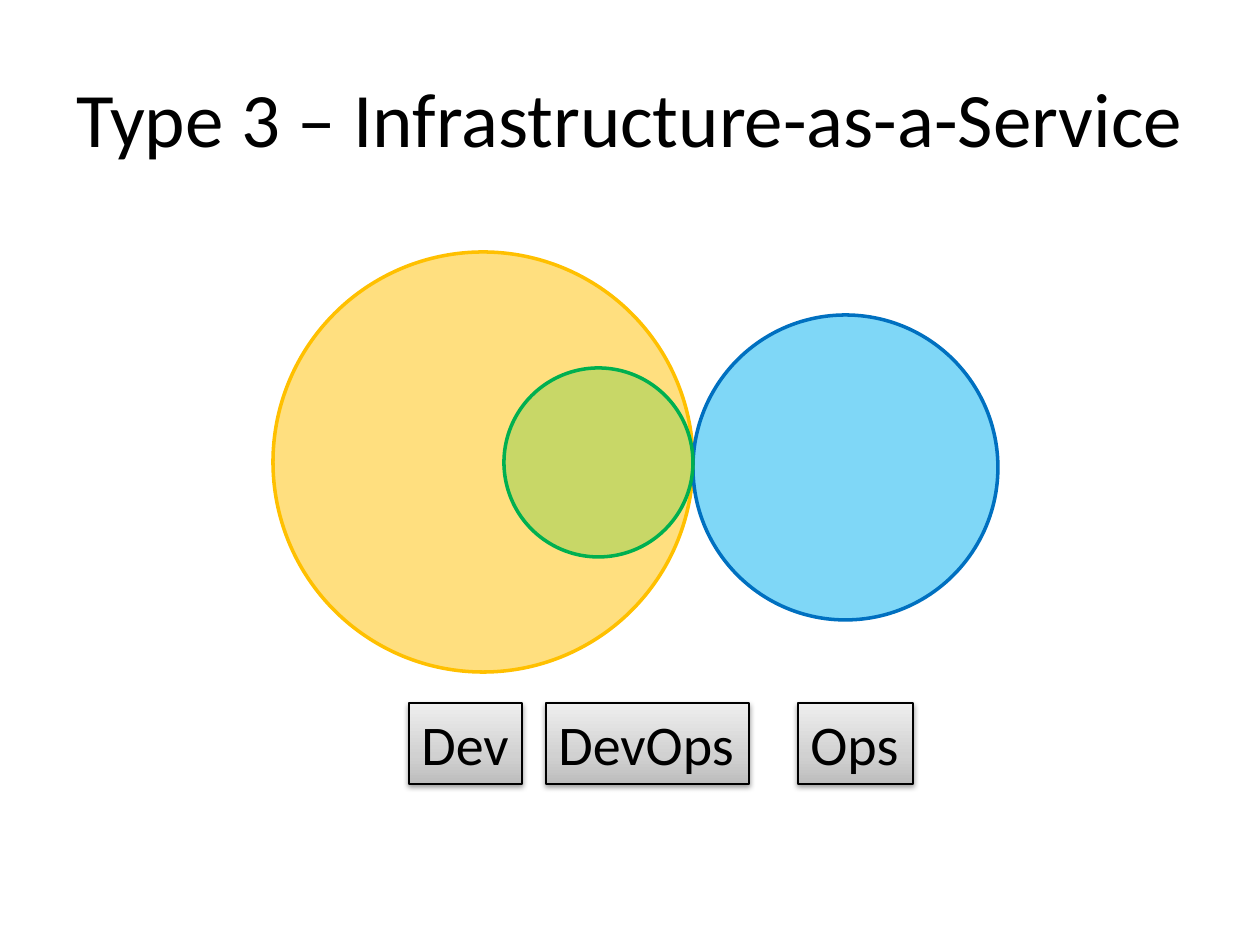
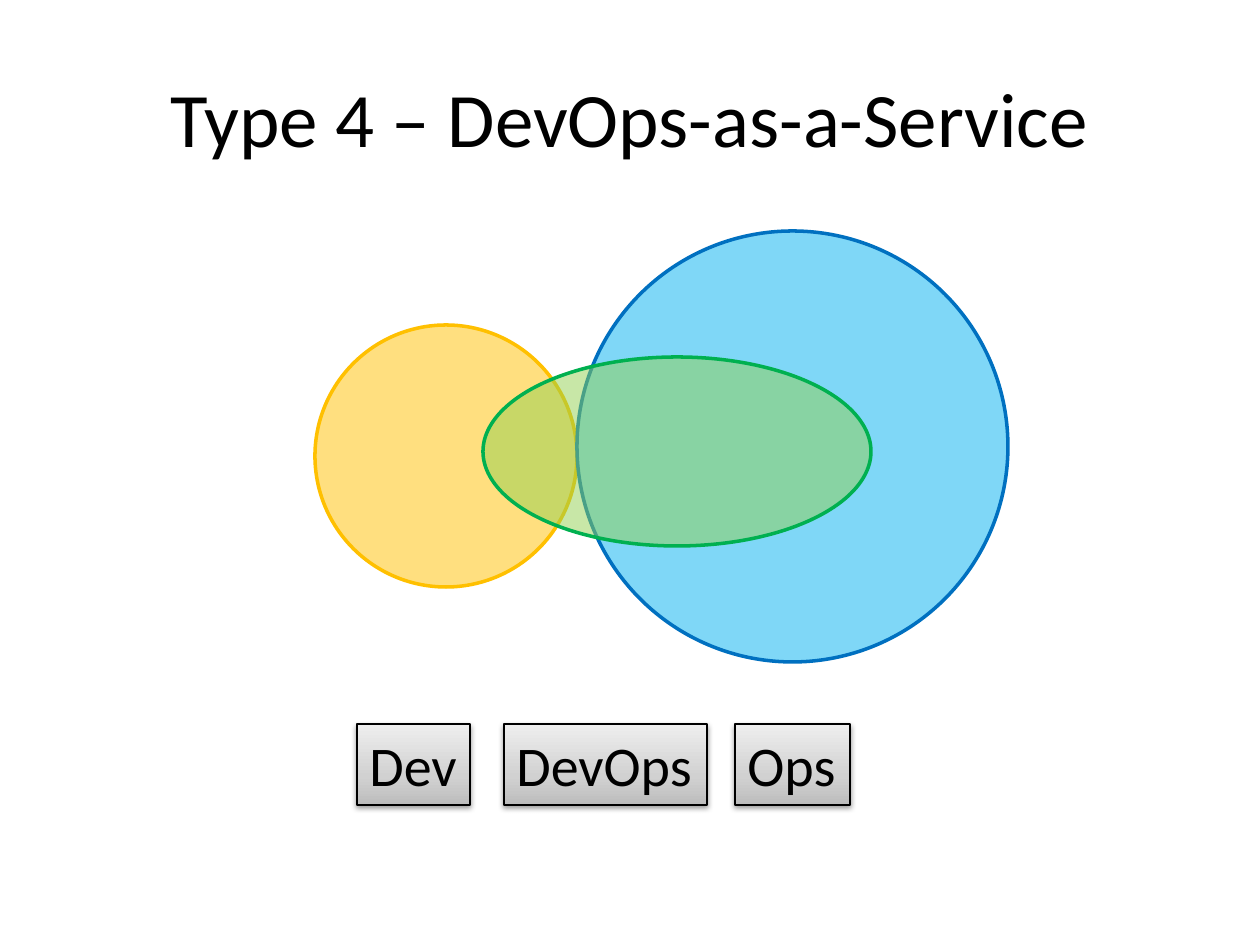
"""Build two slides that show how Dev, Ops and DevOps overlap in two team types."""
from lxml.etree import SubElement
from pptx import Presentation
from pptx.dml.color import RGBColor
from pptx.enum.shapes import MSO_SHAPE as Preset
from pptx.enum.text import MSO_ANCHOR as Anchor, MSO_AUTO_SIZE as AutoSize, PP_ALIGN as Align
from pptx.oxml.ns import qn
from pptx.util import Emu, Pt

SCALE = 914400 / 126
PAGE_SIZE = (1260, 945)
TITLE_AREA = (63, 38, 1134, 158)
LABEL_HEIGHT = 81

BLACK = RGBColor(0x00, 0x00, 0x00)
AMBER = RGBColor(0xFF, 0xC0, 0x00)
SKY = RGBColor(0x00, 0xB0, 0xF0)
BLUE = RGBColor(0x00, 0x70, 0xC0)
LIME = RGBColor(0x92, 0xD0, 0x50)
GREEN = RGBColor(0x00, 0xB0, 0x50)
GREYS = [
    (0, RGBColor(0xBD, 0xBD, 0xBD)),
    (35, RGBColor(0xD1, 0xD1, 0xD1)),
    (100, RGBColor(0xEE, 0xEE, 0xEE)),
]

TEAMS = {
    "Dev": {"fill": AMBER, "line": AMBER, "label_width": 113},
    "Ops": {"fill": SKY, "line": BLUE, "label_width": 115},
    "DevOps": {"fill": LIME, "line": GREEN, "label_width": 203},
}
TITLE_FONT = {"name": "Calibri", "size": Pt(44)}
LABEL_FONT = {"name": "Calibri", "size": Pt(32)}
TITLE_FRAME = {"word_wrap": True, "vertical_anchor": Anchor.MIDDLE}
LABEL_FRAME = {"word_wrap": False, "auto_size": AutoSize.SHAPE_TO_FIT_TEXT}
SHADOW = {"blurRad": "40000", "dist": "20000", "dir": "5400000", "rotWithShape": "0"}

SLIDES = [
    {
        "title": "Type 3 – Infrastructure-as-a-Service",
        "label_top": 703,
        "ovals": {
            "Dev": (273, 252, 420, 420),
            "Ops": (693, 315, 305, 305),
            "DevOps": (504, 368, 189, 189),
        },
        "label_lefts": {"Dev": 409, "Ops": 798, "DevOps": 546},
    },
    {
        "title": "Type 4 – DevOps-as-a-Service",
        "label_top": 724,
        "ovals": {
            "Dev": (315, 325, 262, 262),
            "Ops": (577, 231, 431, 431),
            "DevOps": (483, 357, 388, 189),
        },
        "label_lefts": {"Dev": 357, "Ops": 735, "DevOps": 504},
    },
]


def emu(pixels):
    return [Emu(round(value * SCALE)) for value in pixels]


def set_all(target, values):
    for name, value in values.items():
        setattr(target, name, value)


def add_color(parent, color, alpha=None):
    node = SubElement(parent, qn("a:srgbClr"), val=str(color))
    if alpha is not None:
        SubElement(node, qn("a:alpha"), val=str(alpha * 1000))


def add_text(page, area, text, frame_format, font_format, align):
    box = page.shapes.add_textbox(*emu(area))
    set_all(box.text_frame, frame_format)
    para = box.text_frame.paragraphs[0]
    para.alignment = align
    span = para.add_run()
    span.text = text
    set_all(span.font, font_format)
    span.font.color.rgb = BLACK
    return box


def set_line(shape, color, width):
    shape.line.color.rgb = color
    shape.line.width = Pt(width)


def add_oval(page, area, team):
    oval = page.shapes.add_shape(Preset.OVAL, *emu(area))
    oval.shadow.inherit = False
    oval.fill.solid()
    oval.fill.fore_color.rgb = team["fill"]
    color = oval.element.spPr.find(qn("a:solidFill")).find(qn("a:srgbClr"))
    SubElement(color, qn("a:alpha"), val="50000")
    set_line(oval, team["line"], 2)


def add_label(page, area, text):
    label = add_text(page, area, text, LABEL_FRAME, LABEL_FONT, Align.LEFT)
    label.fill.gradient()
    label.fill.gradient_angle = 90
    set_line(label, BLACK, 0.75)
    label.shadow.inherit = False
    properties = label.element.spPr
    stops = properties.find(qn("a:gradFill")).find(qn("a:gsLst"))
    for stop in list(stops):
        stops.remove(stop)
    for position, color in GREYS:
        add_color(SubElement(stops, qn("a:gs"), pos=str(position * 1000)), color)
    effects = properties.find(qn("a:effectLst"))
    add_color(SubElement(effects, qn("a:outerShdw"), SHADOW), BLACK, 38)


def add_page(deck, content):
    page = deck.slides.add_slide(deck.slide_layouts[6])
    add_text(page, TITLE_AREA, content["title"], TITLE_FRAME, TITLE_FONT, Align.CENTER)
    for name, team in TEAMS.items():
        add_oval(page, content["ovals"][name], team)
        left = content["label_lefts"][name]
        add_label(page, (left, content["label_top"], team["label_width"], LABEL_HEIGHT), name)


deck = Presentation()
deck.slide_width, deck.slide_height = emu(PAGE_SIZE)
for content in SLIDES:
    add_page(deck, content)
deck.save("out.pptx")
